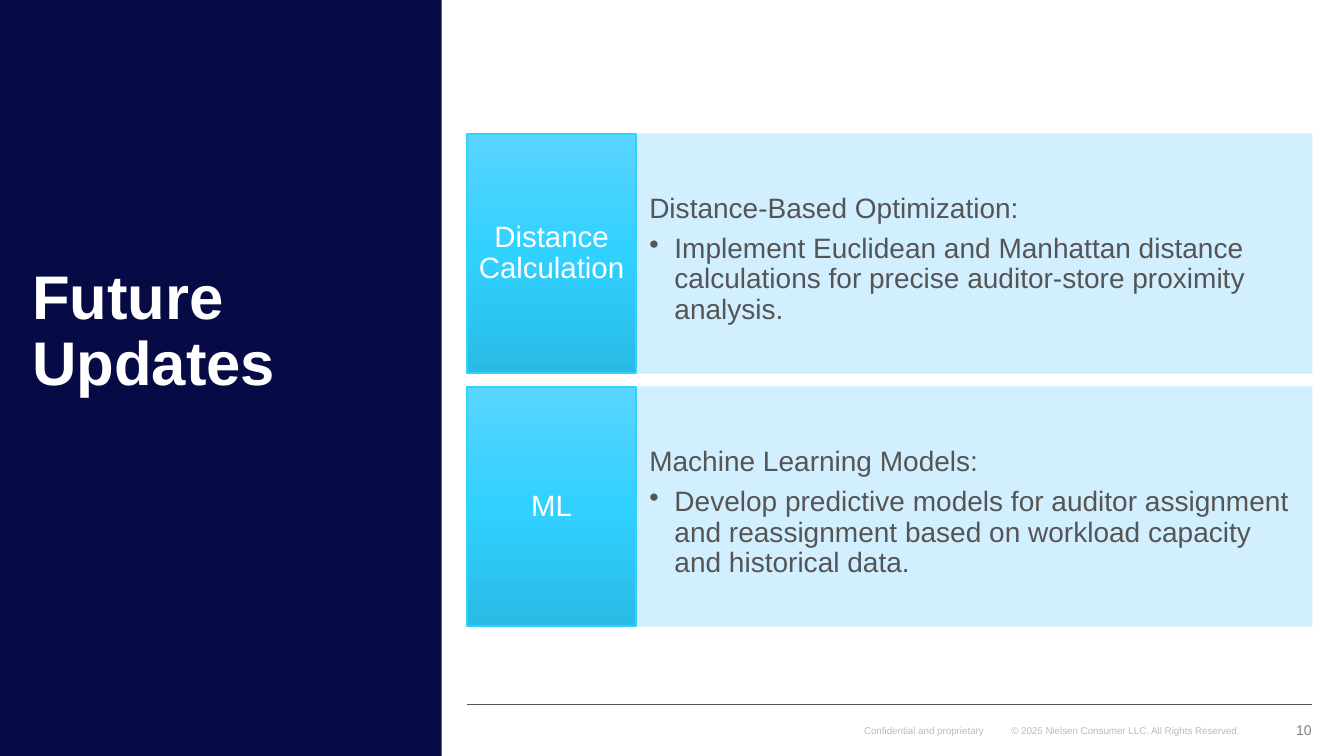
import copy

import pptx
import pptx.dml.color
import pptx.enum.shapes
import pptx.enum.text
import pptx.oxml.ns
import pptx.oxml.xmlchemy
import pptx.util

Inches = pptx.util.Inches
Pt = pptx.util.Pt
ALIGN = pptx.enum.text.PP_ALIGN
ANCHOR = pptx.enum.text.MSO_ANCHOR
RECTANGLE = pptx.enum.shapes.MSO_SHAPE.RECTANGLE

TITLE = "Future Updates"
UPDATES = [
    ("Distance Calculation", "Distance-Based Optimization:",
     "Implement Euclidean and Manhattan distance calculations for precise "
     "auditor-store proximity analysis."),
    ("ML", "Machine Learning Models:",
     "Develop predictive models for auditor assignment and reassignment "
     "based on workload capacity and historical data."),
]
FOOTERS = [
    ("© 2025 Nielsen Consumer LLC. All Rights Reserved.",
     (10.03, 7.14, 2.48, 0.22), 0.05, 7, "footer", ALIGN.LEFT, ANCHOR.TOP),
    ("Confidential and proprietary",
     (8.57, 7.19, 1.2, 0.12), 0, 7, "footer", ALIGN.LEFT, ANCHOR.TOP),
    ("10", (12.57, 7.09, 0.44, 0.31), 0, 10, "number", ALIGN.RIGHT, ANCHOR.MIDDLE),
]
COLORS = {
    "panel": "060A45", "white": "FFFFFF", "text": "555555", "detail": "CEEEFF",
    "label": "31D1FF", "footer": "BBBBBB", "number": "808080",
}
LABEL_GRADIENT = [(0, "59D5FF"), (0.5, "31D1FF"), (1, "29BBE5")]
FONT = "Arial"
LEFT, RIGHT, TOP = 4.63, 13.01, 1.33
LABEL_WIDTH, ROW_HEIGHT, ROW_STEP = 1.68, 2.37, 2.51
RULE_Y = 6.99


def rgb(name):
    return pptx.dml.color.RGBColor.from_string(COLORS[name])


def set_frame(frame, horizontal, vertical, anchor):
    frame.word_wrap = True
    frame.margin_left = frame.margin_right = Inches(horizontal)
    frame.margin_top = frame.margin_bottom = Inches(vertical)
    frame.vertical_anchor = anchor


def format_paragraph(paragraph, size, color, align=ALIGN.LEFT, bold=False, spacing=0.9):
    paragraph.alignment = align
    paragraph.line_spacing = spacing
    for run in paragraph.runs:
        run.font.name = FONT
        run.font.size = Pt(size)
        run.font.bold = bold
        run.font.color.rgb = rgb(color)


def add_block(slide, left, top, width, height, color):
    block = slide.shapes.add_shape(
        RECTANGLE, Inches(left), Inches(top), Inches(width), Inches(height))
    block.shadow.inherit = False
    block.fill.solid()
    block.fill.fore_color.rgb = rgb(color)
    block.line.color.rgb = rgb(color)
    block.line.width = Pt(1)
    return block


def add_opacity(block, percent):
    for color in block._element.spPr.iter(pptx.oxml.ns.qn("a:srgbClr")):
        alpha = pptx.oxml.xmlchemy.OxmlElement("a:alpha")
        alpha.set("val", str(percent * 1000))
        color.append(alpha)


def add_gradient(block):
    block.fill.gradient()
    block.fill.gradient_angle = 270
    stop_list = block._element.spPr.find(".//" + pptx.oxml.ns.qn("a:gsLst"))
    stop_list.append(copy.deepcopy(stop_list[-1]))
    for stop, (position, color) in zip(block.fill.gradient_stops, LABEL_GRADIENT):
        stop.position = position
        stop.color.rgb = pptx.dml.color.RGBColor.from_string(color)


def add_bullet(paragraph):
    properties = paragraph._p.get_or_add_pPr()
    properties.set("marL", str(Inches(0.25)))
    properties.set("indent", str(Inches(-0.25)))
    bullet = pptx.oxml.xmlchemy.OxmlElement("a:buChar")
    bullet.set("char", "•")
    properties.append(bullet)


def add_update(slide, top, label_text, heading_text, detail_text):
    detail_left = LEFT + LABEL_WIDTH
    detail = add_block(slide, detail_left, top, RIGHT - detail_left, ROW_HEIGHT, "detail")
    add_opacity(detail, 90)
    set_frame(detail.text_frame, 0.13, 0.6, ANCHOR.TOP)
    detail.text_frame.text = heading_text
    heading = detail.text_frame.paragraphs[0]
    format_paragraph(heading, 20, "text")
    heading.space_after = Pt(7)
    point = detail.text_frame.add_paragraph()
    point.text = detail_text
    point.level = 1
    add_bullet(point)
    format_paragraph(point, 20, "text")

    label = add_block(slide, LEFT, top, LABEL_WIDTH, ROW_HEIGHT, "label")
    add_gradient(label)
    set_frame(label.text_frame, 0.09, 0.23, ANCHOR.MIDDLE)
    label.text_frame.text = label_text
    format_paragraph(label.text_frame.paragraphs[0], 21, "white", ALIGN.CENTER)


def add_footer(slide, text, place, inset, size, color, align, anchor):
    footer = slide.shapes.add_textbox(*map(Inches, place))
    set_frame(footer.text_frame, 0, inset, anchor)
    footer.text_frame.text = text
    format_paragraph(footer.text_frame.paragraphs[0], size, color, align, spacing=1.0)


def main():
    deck = pptx.Presentation()
    deck.slide_width = Inches(13.33)
    deck.slide_height = Inches(7.5)
    slide = deck.slides.add_slide(deck.slide_layouts[5])

    panel = add_block(slide, 0, 0, 4.38, 7.5, "panel")
    panel.line.fill.background()
    title = slide.shapes.title
    title._element.addprevious(panel._element)
    title.left, title.top, title.width, title.height = map(
        Inches, (0.32, 1.33, 3.73, 2.63))
    set_frame(title.text_frame, 0, 0, ANCHOR.BOTTOM)
    title.text_frame.text = TITLE
    format_paragraph(title.text_frame.paragraphs[0], 44, "white", bold=True)

    rule = slide.shapes.add_connector(
        pptx.enum.shapes.MSO_CONNECTOR.STRAIGHT,
        Inches(LEFT), Inches(RULE_Y), Inches(RIGHT), Inches(RULE_Y))
    rule.line.color.rgb = rgb("text")
    rule.line.width = Pt(1)
    rule._element.spPr.append(pptx.oxml.xmlchemy.OxmlElement("a:effectLst"))

    for footer in FOOTERS:
        add_footer(slide, *footer)
    for row, update in enumerate(UPDATES):
        add_update(slide, TOP + row * ROW_STEP, *update)

    deck.save("out.pptx")


if __name__ == "__main__":
    main()
